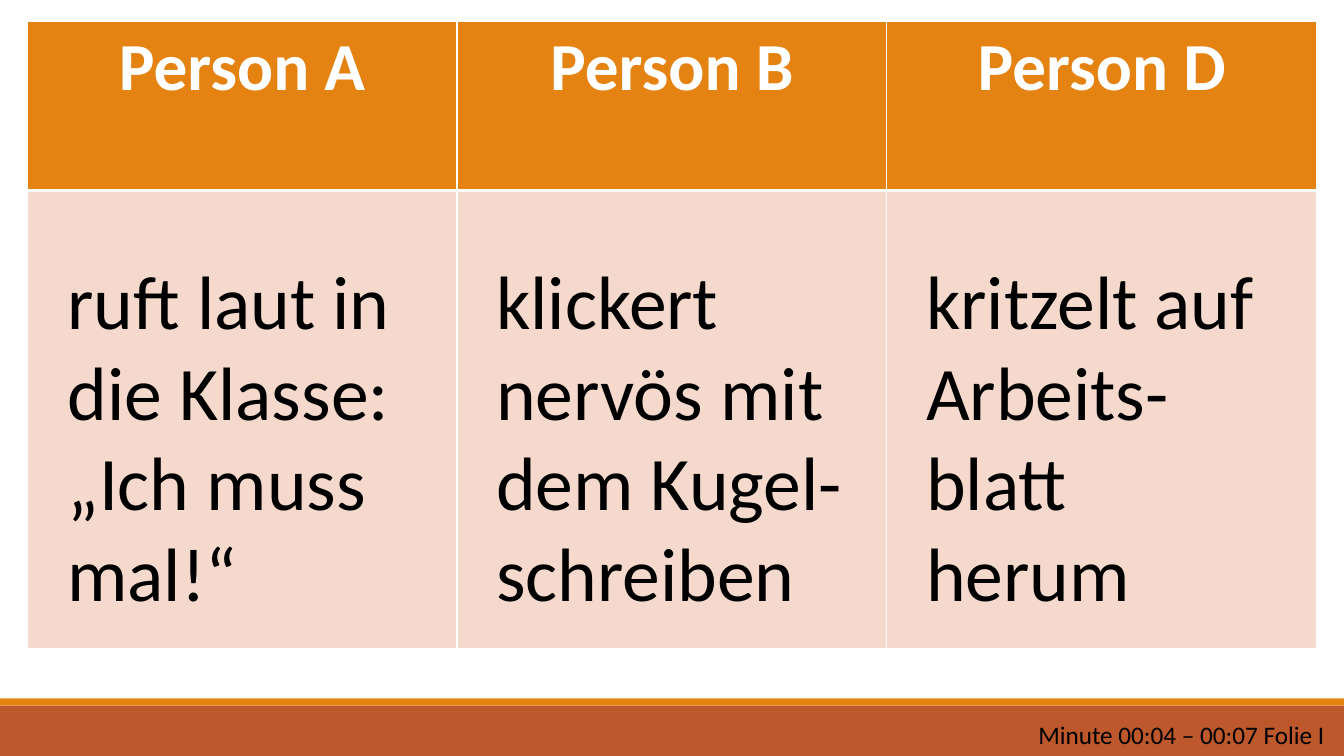
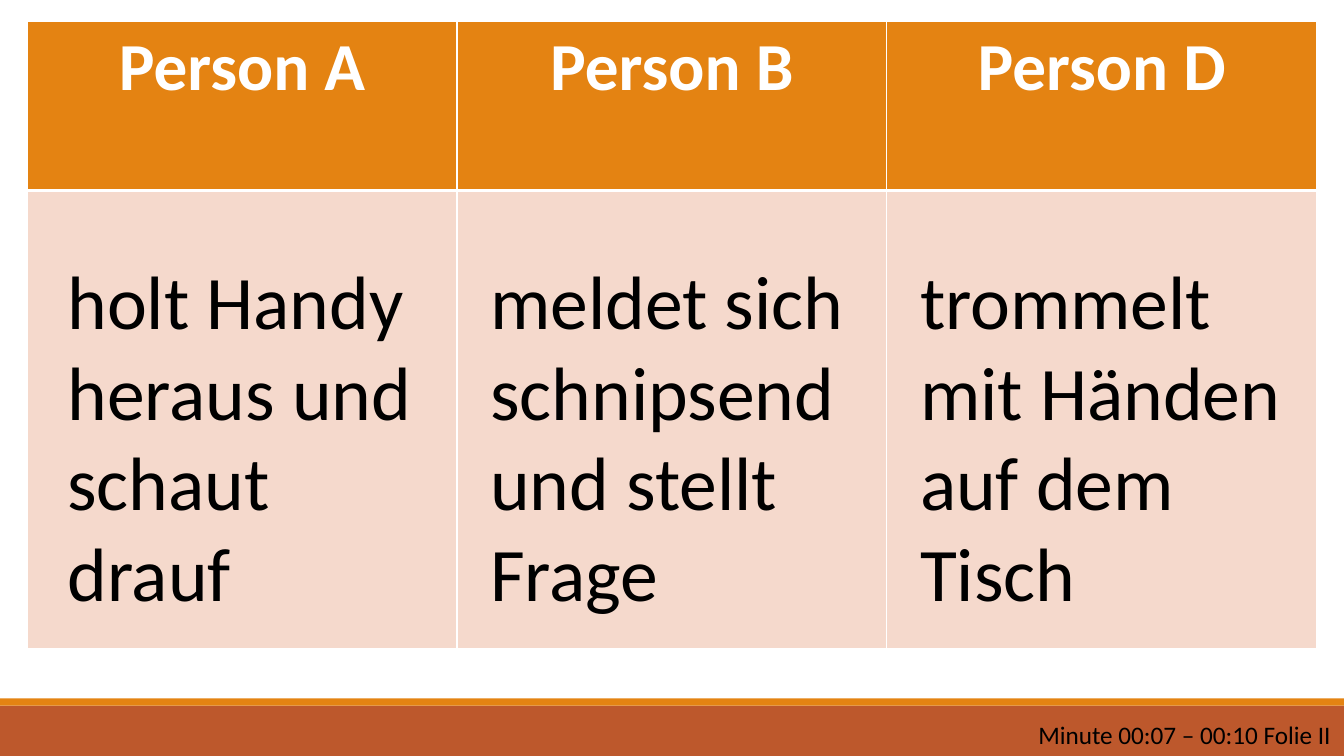
from pptx import Presentation
from pptx.dml.color import RGBColor
from pptx.enum.shapes import MSO_SHAPE as Shape
from pptx.enum.text import MSO_AUTO_SIZE as AutoSize, PP_ALIGN as Align
from pptx.oxml.ns import qn
from pptx.util import Inches, Pt
from lxml.etree import SubElement

COLORS = {"band": "BD582C", "accent": "E48312", "cell": "F5D9CC",
          "white": "FFFFFF", "black": "000000"}
FONT = "Calibri"
WIDTH, HEIGHT = 13.33, 7.5
TABLE_LEFT, TABLE_TOP = 0.27, 0.21
COLUMN = (WIDTH - 2 * TABLE_LEFT) / 3
ROWS = (1.68, 4.54)
TEXT_TOP = TABLE_TOP + ROWS[0] + 0.58
FOOTER_LEFT, FOOTER_TOP = 10.2, 7.09
BANDS = [(7.0, 0.5, "band"), (6.93, 0.07, "accent")]  # top, height, colour
PERSONS = ["Person A", "Person B", "Person D"]

# One entry per slide: footer and, per person, text lines, inset and width.
SCENES = [
    ("Minute 00:04 – 00:07 Folie I", [
        (["ruft laut in die Klasse:", "„Ich muss mal!“"], 0.3, 3.89),
        (["klickert nervös mit dem Kugel-schreiben"], 0.29, 3.9),
        (["kritzelt auf Arbeits-blatt herum"], 0.29, 3.67),
    ]),
    ("Minute 00:07 – 00:10 Folie II", [
        (["holt Handy heraus und schaut drauf"], 0.3, 3.89),
        (["meldet sich schnipsend und stellt Frage"], 0.23, 4.15),
        (["trommelt mit Händen auf dem Tisch"], 0.23, 3.89),
    ]),
]


def write(frame, lines, size, color="black", bold=False, align=Align.LEFT):
    """Fill a text frame with one formatted paragraph per line."""
    frame.word_wrap = True
    for index, line in enumerate(lines):
        paragraph = frame.paragraphs[0] if index == 0 else frame.add_paragraph()
        paragraph.alignment = align
        run = paragraph.add_run()
        run.text = line
        run.font.name, run.font.size, run.font.bold = FONT, Pt(size), bold
        run.font.color.rgb = RGBColor.from_string(COLORS[color])


def style_cell(cell, fill, top, bottom):
    """Set the fill and white borders, with top and bottom widths in points."""
    properties = cell._tc.get_or_add_tcPr()
    for side, width in (("L", 1), ("R", 1), ("T", top), ("B", bottom)):
        line = SubElement(properties, qn(f"a:ln{side}"), w=str(Pt(width)))
        solid = SubElement(line, qn("a:solidFill"))
        SubElement(solid, qn("a:srgbClr"), val=COLORS["white"])
    cell.fill.solid()
    cell.fill.fore_color.rgb = RGBColor.from_string(COLORS[fill])


presentation = Presentation()
presentation.slide_width = Inches(WIDTH)
presentation.slide_height = Inches(HEIGHT)

for footer, actions in SCENES:
    slide = presentation.slides.add_slide(presentation.slide_layouts[6])

    for top, height, color in BANDS:
        band = slide.shapes.add_shape(Shape.RECTANGLE, 0, Inches(top),
                                      Inches(WIDTH), Inches(height))
        band.shadow.inherit = False
        band.fill.solid()
        band.fill.fore_color.rgb = RGBColor.from_string(COLORS[color])
        band.line.fill.background()

    table = slide.shapes.add_table(
        len(ROWS), len(PERSONS), Inches(TABLE_LEFT), Inches(TABLE_TOP),
        Inches(COLUMN * len(PERSONS)), Inches(sum(ROWS))).table
    for row, height in zip(table.rows, ROWS):
        row.height = Inches(height)

    for index, (person, (lines, inset, width)) in enumerate(zip(PERSONS, actions)):
        table.columns[index].width = Inches(COLUMN)
        header = table.cell(0, index)
        style_cell(header, "accent", top=1, bottom=3)
        write(header.text_frame, [person], 48, "white", bold=True, align=Align.CENTER)
        style_cell(table.cell(1, index), "cell", top=3, bottom=1)

        left = TABLE_LEFT + index * COLUMN + inset
        action = slide.shapes.add_textbox(Inches(left), Inches(TEXT_TOP),
                                          Inches(width), Inches(3.74))
        write(action.text_frame, lines, 54)
        action.text_frame.auto_size = AutoSize.SHAPE_TO_FIT_TEXT

    time_label = slide.shapes.add_textbox(
        Inches(FOOTER_LEFT), Inches(FOOTER_TOP),
        Inches(WIDTH - FOOTER_LEFT), Inches(HEIGHT - FOOTER_TOP))
    write(time_label.text_frame, [footer], 18)

presentation.save("out.pptx")
